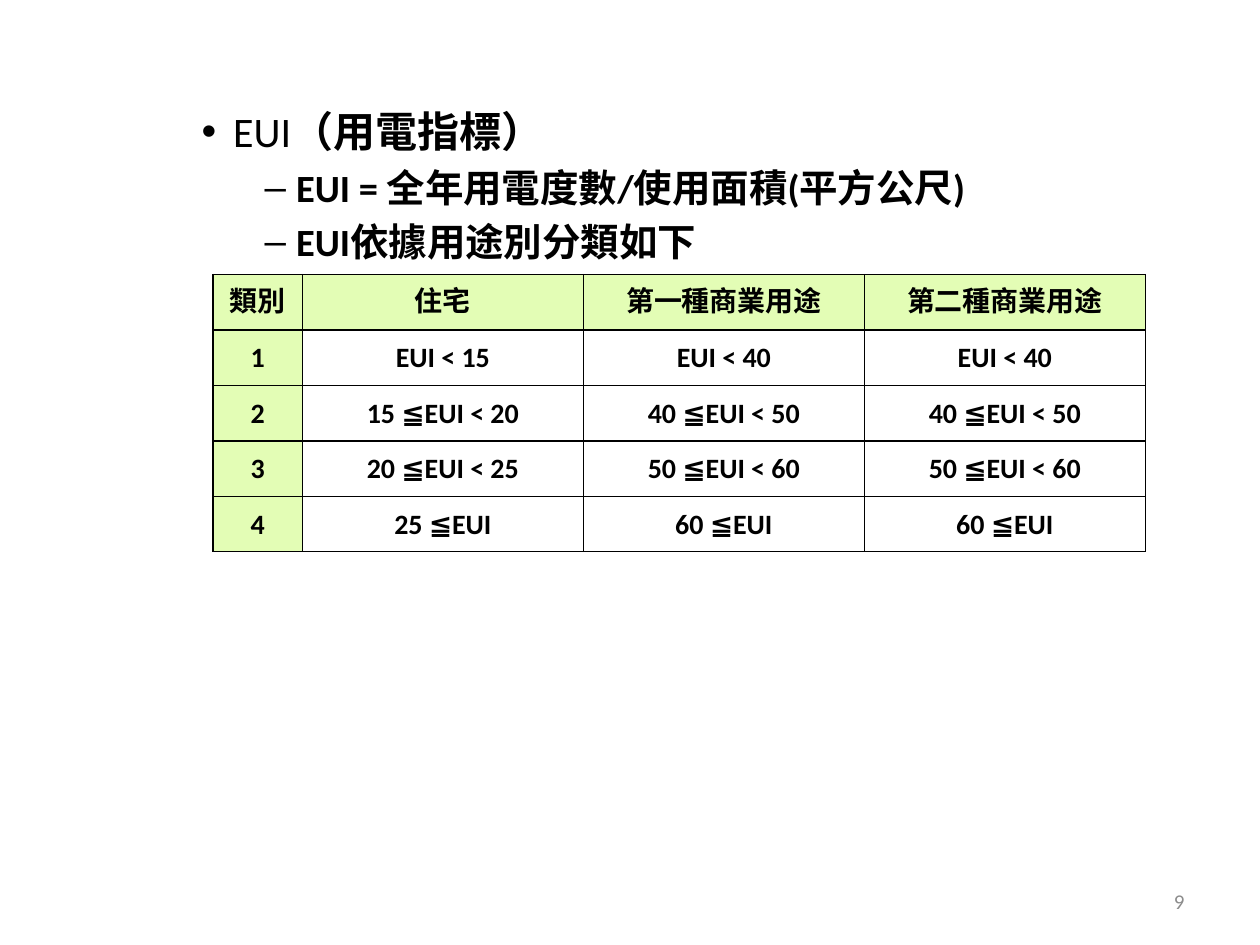
import pptx
import pptx.util
import pptx.dml.color
import pptx.enum.text
import pptx.oxml
import pptx.oxml.ns

Inches, Pt = pptx.util.Inches, pptx.util.Pt
ALIGN = pptx.enum.text.PP_ALIGN
MIDDLE = pptx.enum.text.MSO_ANCHOR.MIDDLE

# Content: each bullet has a level, a mark, a size and (text, bold) spans
BULLETS = [
    (1, "•", 24, [("EUI", False), ("（用電指標）", True)]),
    (2, "–", 22, [("EUI = 全年用電度數/使用面積(平方公尺)", True)]),
    (2, "–", 22, [("EUI依據用途別分類如下", True)]),
]
ROWS = [
    ("類別", "住宅", "第一種商業用途", "第二種商業用途"),
    ("1", "EUI < 15", "EUI < 40", "EUI < 40"),
    ("2", "15 ≦EUI < 20", "40 ≦EUI < 50", "40 ≦EUI < 50"),
    ("3", "20 ≦EUI < 25", "50 ≦EUI < 60", "50 ≦EUI < 60"),
    ("4", "25 ≦EUI", "60 ≦EUI", "60 ≦EUI"),
]
PAGE_NUMBER = "9"

# Layout in inches
WIDTH, HEIGHT, MARGIN = 10, 7.5, 0.5
COLUMNS = [0.71, 2.23, 2.23, 2.23]
ROW_HEIGHT = 0.44
BLACK, GREY, GREEN, WHITE = "000000", "8C8C8C", "E3FDB5", "FFFFFF"


def colour(code):
    return pptx.dml.color.RGBColor.from_string(code)


def add_text(para, text, size=16, bold=False, fill=BLACK, align=None):
    span = para.add_run()
    span.text = text
    span.font.name = "Calibri"
    span.font.size = Pt(size)
    span.font.bold = bold
    span.font.color.rgb = colour(fill)
    if align is not None:
        para.alignment = align


def set_bullet(para, mark, left, hanging=0.25):
    properties = para._p.get_or_add_pPr()
    properties.set("marL", str(Inches(left)))
    properties.set("indent", str(-Inches(hanging)))
    bullet = properties.makeelement(pptx.oxml.ns.qn("a:buChar"), {"char": mark})
    properties.append(bullet)


def set_borders(cell, code=BLACK, width=1):
    properties = cell._tc.get_or_add_tcPr()
    for place, side in enumerate("LRTB"):
        border = pptx.oxml.parse_xml(
            f'<a:ln{side} {pptx.oxml.ns.nsdecls("a")} w="{Pt(width)}">'
            f'<a:solidFill><a:srgbClr val="{code}"/></a:solidFill></a:ln{side}>')
        properties.insert(place, border)


def add_bullets(page):
    body = page.placeholders[1]
    body.left, body.top = Inches(MARGIN), Inches(0.79)
    body.width, body.height = Inches(WIDTH - 2 * MARGIN), Inches(6.19)
    frame = body.text_frame
    frame.auto_size = pptx.enum.text.MSO_AUTO_SIZE.NONE
    for index, (level, mark, size, spans) in enumerate(BULLETS):
        para = frame.add_paragraph() if index else frame.paragraphs[0]
        para.level = level
        set_bullet(para, mark, 0.75 + 0.5 * level)
        for text, bold in spans:
            add_text(para, text, size=size, bold=bold)


def add_class_table(page):
    table = page.shapes.add_table(
        len(ROWS), len(COLUMNS), Inches(1.69), Inches(2.18),
        Inches(sum(COLUMNS)), Inches(ROW_HEIGHT * len(ROWS))).table
    for column, width in zip(table.columns, COLUMNS):
        column.width = Inches(width)
    for row_index, texts in enumerate(ROWS):
        table.rows[row_index].height = Inches(ROW_HEIGHT)
        for column_index, text in enumerate(texts):
            cell = table.cell(row_index, column_index)
            heading = row_index == 0 or column_index == 0
            cell.fill.solid()
            cell.fill.fore_color.rgb = colour(GREEN if heading else WHITE)
            cell.vertical_anchor = MIDDLE
            cell.margin_left = cell.margin_right = Inches(0.07)
            cell.margin_top = cell.margin_bottom = 0
            para = cell.text_frame.paragraphs[0]
            para.line_spacing = Pt(20)
            add_text(para, text, bold=True, align=ALIGN.CENTER)
            set_borders(cell)


def add_page_number(page):
    width = 2.33
    box = page.shapes.add_textbox(Inches(WIDTH - MARGIN - width), Inches(6.95),
                                  Inches(width), Inches(0.4))
    box.text_frame.word_wrap = True
    box.text_frame.vertical_anchor = MIDDLE
    add_text(box.text_frame.paragraphs[0], PAGE_NUMBER, size=12, fill=GREY,
             align=ALIGN.RIGHT)


def main():
    deck = pptx.Presentation()
    deck.slide_width, deck.slide_height = Inches(WIDTH), Inches(HEIGHT)
    page = deck.slides.add_slide(deck.slide_layouts[1])
    # The slide has no title
    title = page.shapes.title._element
    title.getparent().remove(title)
    add_bullets(page)
    add_class_table(page)
    add_page_number(page)
    deck.save("out.pptx")


if __name__ == "__main__":
    main()
